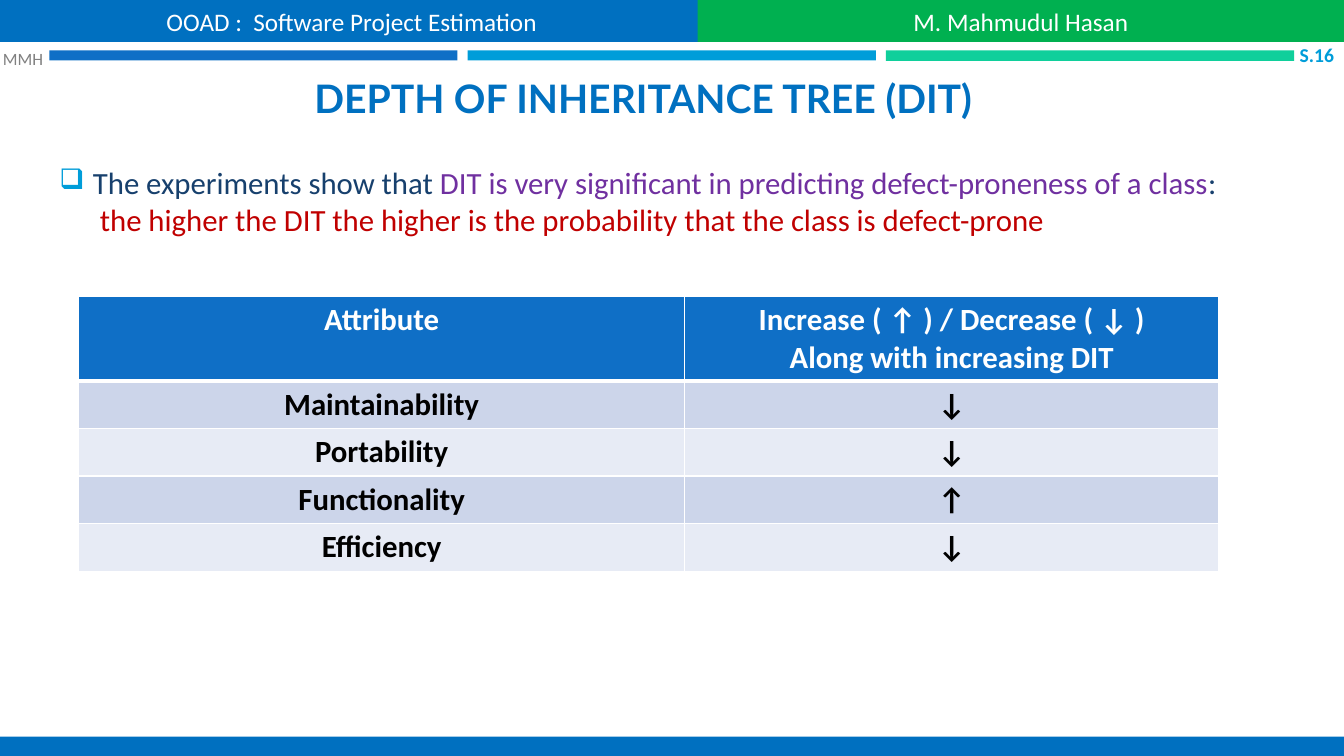
from lxml import etree
from pptx import Presentation
from pptx.dml.color import RGBColor
from pptx.enum import shapes, text
from pptx.oxml import ns
from pptx.util import Pt


def paint(target, color):
    target.solid()
    target.fore_color.rgb = RGBColor.from_string(color)


def write(para, words, size, color, bold=False, font="Calibri"):
    span = para.add_run()
    span.text = words
    span.font.name = font
    span.font.size = Pt(size)
    span.font.bold = bold
    paint(span.font.fill, color)


deck = Presentation()
deck.slide_width = Pt(960)
deck.slide_height = Pt(540)
page = deck.slides.add_slide(deck.slide_layouts[5])

title = page.shapes.title
title.left, title.top, title.width, title.height = Pt(25.2), Pt(46), Pt(868.3), Pt(44)
title.text_frame.vertical_anchor = text.MSO_ANCHOR.BOTTOM
heading = title.text_frame.paragraphs[0]
heading.alignment = text.PP_ALIGN.CENTER
write(heading, "DEPTH OF INHERITANCE TREE (DIT)", 28, "0070C0", True, "Lato")

bars = [
    (35.2, 36, 291.6, 7.2, "0F6FC6", ""),
    (334, 36, 291.6, 7.2, "009DD9", ""),
    (632.8, 36, 291.6, 7.6, "10CF9B", ""),
    (0, 0, 502.4, 30, "0070C0", "OOAD :  Software Project Estimation"),
    (498.4, 0, 461.6, 30, "00B050", "M. Mahmudul Hasan"),
    (0, 526.2, 960, 13.8, "0070C0", ""),
]
for left, top, width, height, color, words in bars:
    bar = page.shapes.add_shape(
        shapes.MSO_SHAPE.RECTANGLE, Pt(left), Pt(top), Pt(width), Pt(height)
    )
    bar.shadow.inherit = False
    paint(bar.fill, color)
    bar.line.fill.background()
    if words:
        bar.text_frame.vertical_anchor = text.MSO_ANCHOR.MIDDLE
        label = bar.text_frame.paragraphs[0]
        label.alignment = text.PP_ALIGN.CENTER
        write(label, words, 18, "FFFFFF")

corners = [
    (2, 32, 33, "MMH", 12.3, "808080", False, text.PP_ALIGN.LEFT),
    (920, 29, 33, "S.16", 14, "009DD9", True, text.PP_ALIGN.RIGHT),
]
for left, top, width, words, size, color, bold, align in corners:
    corner = page.shapes.add_textbox(Pt(left), Pt(top), Pt(width), Pt(20))
    frame = corner.text_frame
    frame.margin_left = frame.margin_right = frame.margin_top = frame.margin_bottom = 0
    frame.vertical_anchor = text.MSO_ANCHOR.MIDDLE
    frame.paragraphs[0].alignment = align
    write(frame.paragraphs[0], words, size, color, bold)

body = page.shapes.add_textbox(Pt(35.3), Pt(113.6), Pt(883.4), Pt(64))
body.text_frame.word_wrap = True
finding = body.text_frame.paragraphs[0]
finding_props = finding._p.get_or_add_pPr()
finding_props.set("marL", str(Pt(24)))
finding_props.set("indent", str(Pt(-24)))
bullet_color = etree.SubElement(finding_props, ns.qn("a:buClr"))
etree.SubElement(bullet_color, ns.qn("a:srgbClr"), val="009DD9")
etree.SubElement(finding_props, ns.qn("a:buSzPct"), val="92000")
etree.SubElement(finding_props, ns.qn("a:buChar"), char="❑")
write(finding, "The experiments show that ", 22, "17406D")
write(finding, "DIT is very significant in predicting defect-proneness of a class", 22, "7030A0")
write(finding, ":", 22, "17406D")
finding.add_line_break()
write(finding, " the higher the DIT the higher is the probability that the class is defect-prone", 22, "C00000")

rows = [
    ("Attribute", "Increase ( ↑ ) / Decrease ( ↓ )\nAlong with increasing DIT"),
    ("Maintainability", "↓"),
    ("Portability", "↓"),
    ("Functionality", "↑"),
    ("Efficiency", "↓"),
]
grid = page.shapes.add_table(len(rows), 2, Pt(56.2), Pt(211.7), Pt(814.4), Pt(196.4)).table
grid.columns[0].width = Pt(432.8)
grid.columns[1].width = Pt(381.6)
for r, row in enumerate(rows):
    grid.rows[r].height = Pt(34 if r else 60.4)
    fill = ("E7EBF5", "CCD5EA")[r % 2] if r else "0F6FC6"
    for c, words in enumerate(row):
        cell = grid.cell(r, c)
        paint(cell.fill, fill)
        frame = cell.text_frame
        for n, line in enumerate(words.split("\n")):
            para = frame.add_paragraph() if n else frame.paragraphs[0]
            para.alignment = text.PP_ALIGN.CENTER
            write(para, line, 22, "000000" if r else "FFFFFF", True)
        cell_props = cell._tc.get_or_add_tcPr()
        for n, side in enumerate(("lnL", "lnR", "lnT", "lnB")):
            thick = (r, side) in ((0, "lnB"), (1, "lnT"))
            border = etree.Element(ns.qn("a:" + side), w=str(Pt(3 if thick else 1)))
            border_fill = etree.SubElement(border, ns.qn("a:solidFill"))
            etree.SubElement(border_fill, ns.qn("a:srgbClr"), val="FFFFFF")
            cell_props.insert(n, border)

deck.save("out.pptx")
